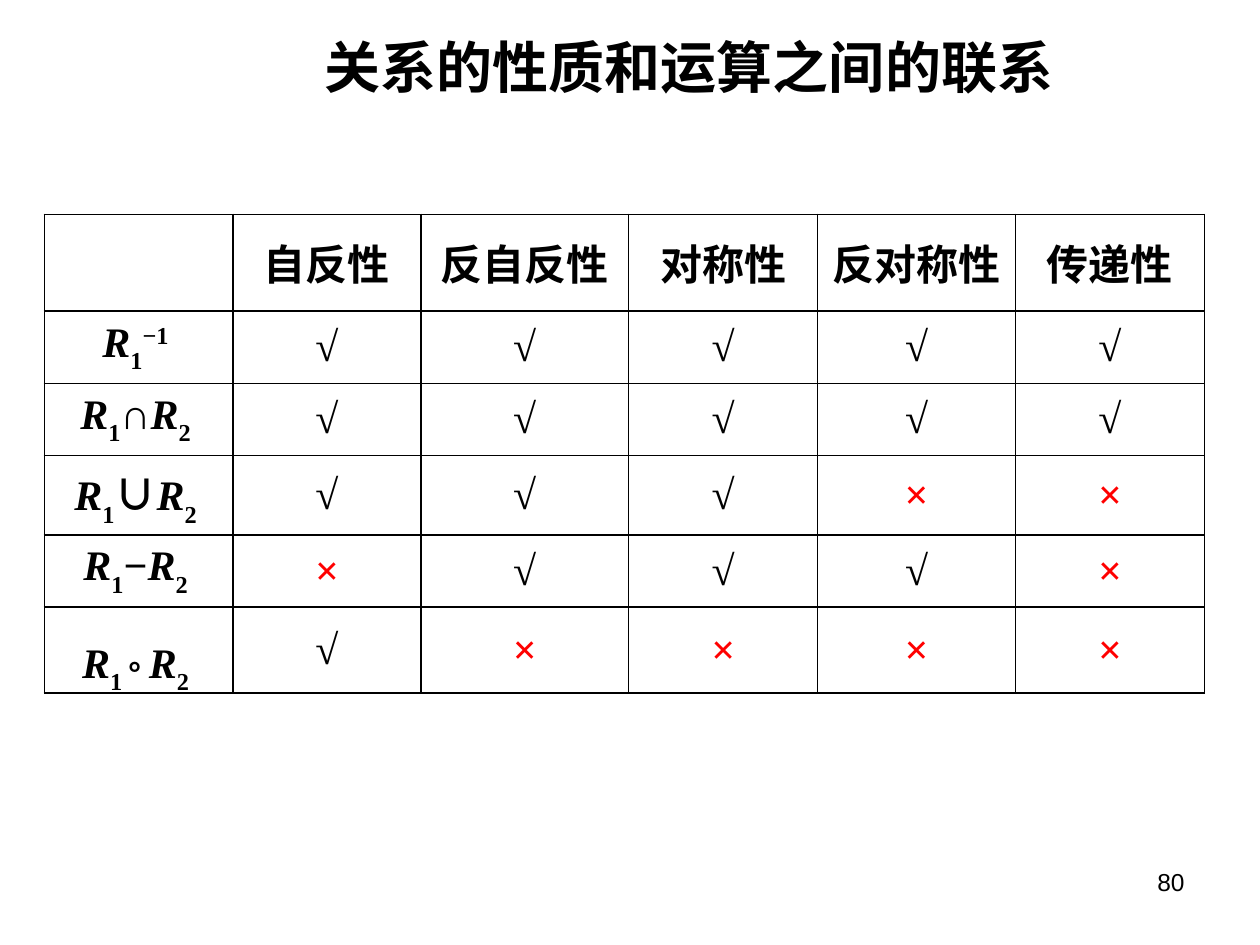
from dataclasses import dataclass

from lxml import etree
from pptx import Presentation
from pptx.dml.color import RGBColor
from pptx.enum import text
from pptx.oxml import ns
from pptx.util import Inches, Pt


@dataclass(frozen=True)
class Theme:
    ink: RGBColor = RGBColor(0, 0, 0)
    fail: RGBColor = RGBColor(255, 0, 0)
    sans: str = "Arial"
    serif: str = "Times New Roman"
    chinese: str = "Noto Sans CJK SC"
    title: int = 32
    body: int = 24
    ring: int = 32
    page: int = 14
    outer_line: float = 0.75
    inner_line: float = 1


THEME = Theme()


@dataclass(frozen=True)
class Piece:
    words: str
    font: str = THEME.serif
    size: int = THEME.body
    color: RGBColor = THEME.ink
    bold: bool = True
    italic: bool = False
    baseline: int = 0


@dataclass(frozen=True)
class Operation:
    formula: list[Piece]
    marks: str
    height: float


def relation(index: str) -> list[Piece]:
    return [Piece("R", italic=True), Piece(index, baseline=-30)]


def binary(operator: Piece, first_index: str = "1") -> list[Piece]:
    return [*relation(first_index), operator, *relation("2 ")]


# Content of the table
PROPERTIES = ["自反性", "反自反性", "对称性", "反对称性", "传递性"]
OPERATIONS = [
    Operation([*relation("1"), Piece("−1 ", baseline=30)], "√√√√√", 0.54),
    Operation(binary(Piece("∩")), "√√√√√", 0.54),
    Operation(binary(Piece("∪", font=THEME.chinese)), "√√√××", 0.63),
    Operation(binary(Piece("−")), "×√√√×", 0.54),
    Operation(binary(Piece("° ", font=THEME.chinese, size=THEME.ring, baseline=-16), "1 "),
              "√××××", 0.65),
]
HEADER_HEIGHT = 0.77
COLUMN_WIDTHS = [1.5, 1.49, 1.65, 1.5, 1.57, 1.5]


def write(paragraph, pieces: list[Piece], align=text.PP_ALIGN.CENTER) -> None:
    paragraph.alignment = align
    for piece in pieces:
        run = paragraph.add_run()
        run.text = piece.words
        look = {"name": piece.font, "size": Pt(piece.size),
                "bold": piece.bold, "italic": piece.italic}
        for key, value in look.items():
            setattr(run.font, key, value)
        run.font.color.rgb = piece.color
        properties = run.font._element
        if piece.baseline:
            properties.set("baseline", str(piece.baseline * 1000))
        east_asian = etree.SubElement(properties, ns.qn("a:ea"))
        east_asian.set("typeface", THEME.chinese)


def add_label(slide, left: float, top: float, width: float, height: float,
              piece: Piece, align, wrap: bool) -> None:
    frame = slide.shapes.add_textbox(
        Inches(left), Inches(top), Inches(width), Inches(height)).text_frame
    frame.word_wrap = wrap
    write(frame.paragraphs[0], [piece], align)


def draw_borders(cell, outer_sides: dict[str, bool]) -> None:
    properties = cell._tc.get_or_add_tcPr()
    for position, (side, outer) in enumerate(outer_sides.items()):
        width = THEME.outer_line if outer else THEME.inner_line
        line = etree.Element(ns.qn(f"a:ln{side}"), w=str(Pt(width)))
        fill = etree.SubElement(line, ns.qn("a:solidFill"))
        etree.SubElement(fill, ns.qn("a:srgbClr"), val=str(THEME.ink))
        properties.insert(position, line)


def add_property_table(slide) -> None:
    heights = [HEADER_HEIGHT] + [operation.height for operation in OPERATIONS]
    table = slide.shapes.add_table(
        len(heights), len(COLUMN_WIDTHS), Inches(0.35), Inches(1.7),
        Inches(sum(COLUMN_WIDTHS)), Inches(sum(heights))).table
    table.first_row = table.horz_banding = False
    for column, width in zip(table.columns, COLUMN_WIDTHS):
        column.width = Inches(width)
    for row, height in zip(table.rows, heights):
        row.height = Inches(height)

    header = [[]] + [[Piece(name, font=THEME.sans)] for name in PROPERTIES]
    body = [[operation.formula]
            + [[Piece(mark, color=THEME.fail if mark == "×" else THEME.ink)]
               for mark in operation.marks]
            for operation in OPERATIONS]
    last_row, last_column = len(heights) - 1, len(COLUMN_WIDTHS) - 1
    for r, contents in enumerate([header, *body]):
        for c, pieces in enumerate(contents):
            cell = table.cell(r, c)
            cell.vertical_anchor = text.MSO_ANCHOR.MIDDLE
            cell.fill.background()
            write(cell.text_frame.paragraphs[0], pieces)
            draw_borders(cell, {"L": c == 0, "R": c == last_column,
                                "T": r == 0, "B": r == last_row})


def main() -> None:
    deck = Presentation()
    deck.slide_width, deck.slide_height = Inches(10), Inches(7.5)
    slide = deck.slides.add_slide(deck.slide_layouts[6])

    # Page number, table and title
    add_label(slide, 7.17, 6.83, 2.33, 0.52,
              Piece("80", font=THEME.sans, size=THEME.page, bold=False),
              text.PP_ALIGN.RIGHT, wrap=True)
    add_property_table(slide)
    add_label(slide, 2.48, 0.21, 6, 0.63,
              Piece("关系的性质和运算之间的联系", font=THEME.sans, size=THEME.title),
              text.PP_ALIGN.LEFT, wrap=False)
    deck.save("out.pptx")


if __name__ == "__main__":
    main()
